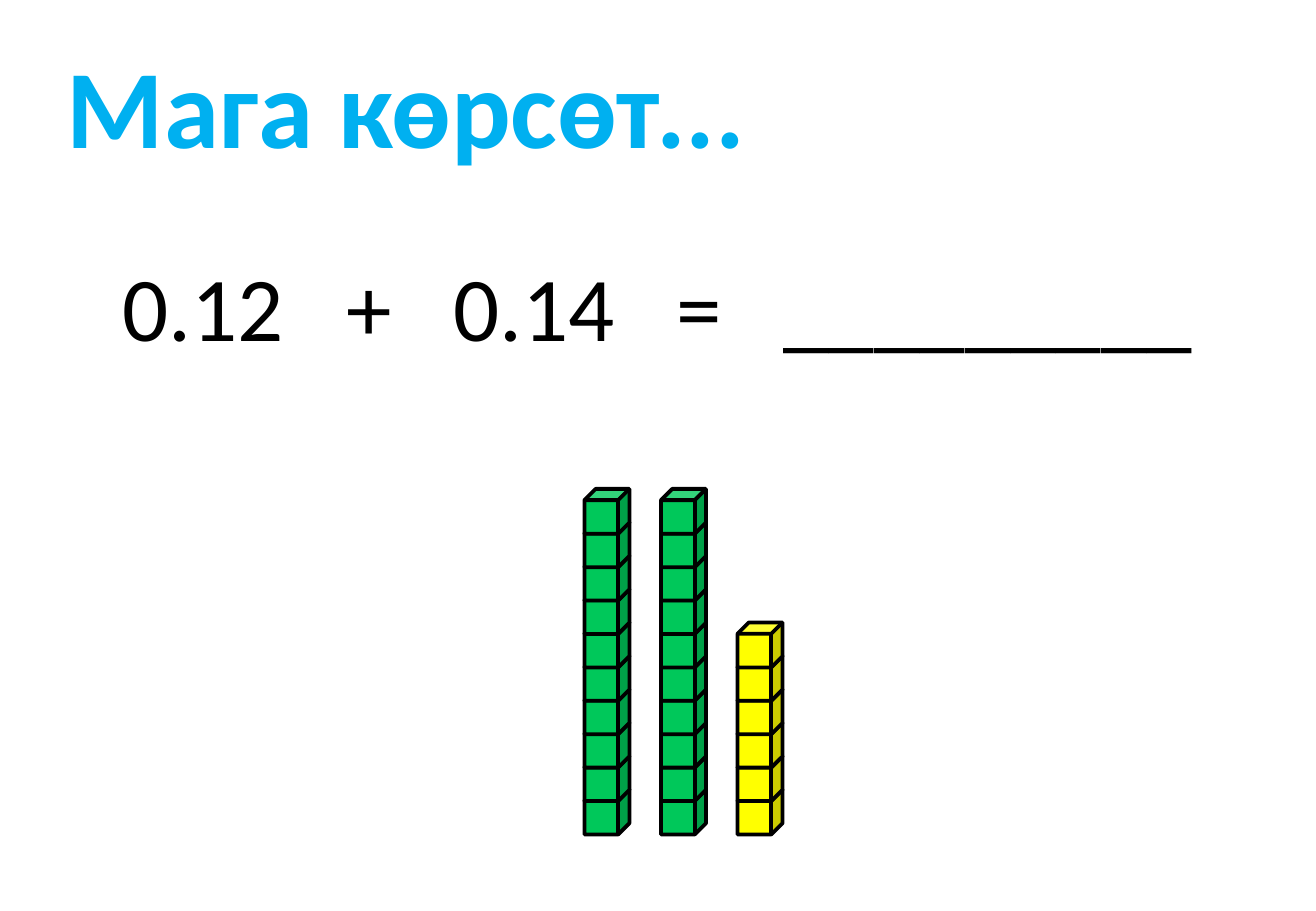
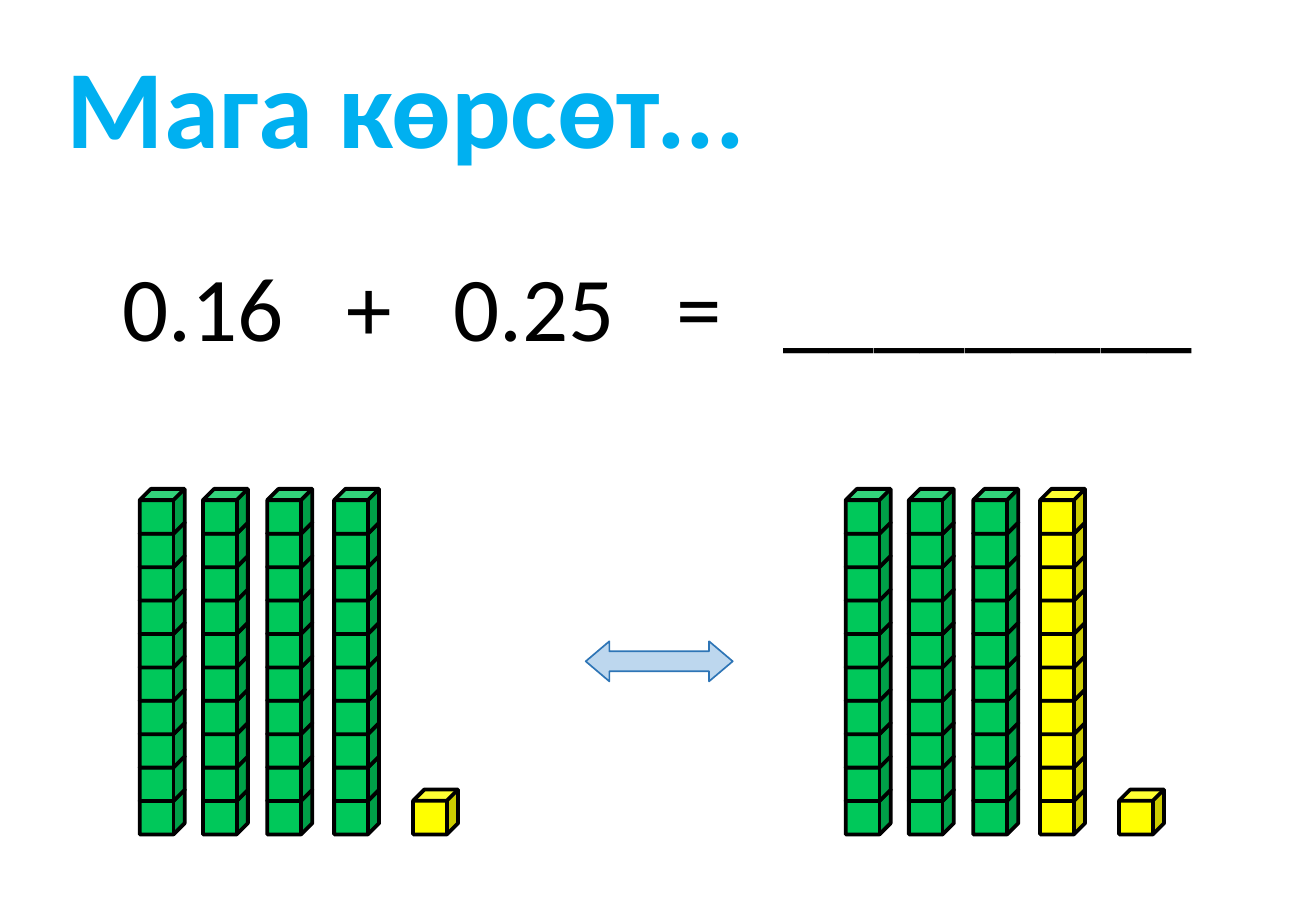
from dataclasses import dataclass

from lxml.etree import SubElement
from pptx import Presentation
from pptx.dml.color import RGBColor
from pptx.enum.shapes import MSO_SHAPE
from pptx.enum.text import MSO_ANCHOR, MSO_AUTO_SIZE, PP_ALIGN
from pptx.oxml.ns import qn
from pptx.shapes.autoshape import Shape
from pptx.slide import Slide
from pptx.util import Inches, Pt

FONT = "Calibri"
BLACK, SKY, GREEN, YELLOW = "000000", "00B0F0", "00C85A", "FFFF00"
ARROW_FILL, ARROW_LINE = "BDD7EE", "2E75B6"
CUBE, STEP, FLOOR = 0.37, 0.275, 6.5
TAB_STOPS = (1.84, 2.72, 4.56, 5.44)


@dataclass(frozen=True)
class Stick:
    """A column of stacked cubes."""

    left: float
    count: int
    color: str


@dataclass(frozen=True)
class Sum:
    """One addition exercise with its sticks."""

    terms: tuple[str, ...]
    sticks: tuple[Stick, ...]
    arrow: bool = False


def rgb(color: str) -> RGBColor:
    """Turn a hex string into a colour."""
    return RGBColor.from_string(color)


def paint(sp: Shape, fill: str, line: str, width: float) -> None:
    """Set fill and outline and drop the shadow."""
    sp.shadow.inherit = False
    sp.fill.solid()
    sp.fill.fore_color.rgb = rgb(fill)
    sp.line.color.rgb = rgb(line)
    sp.line.width = Pt(width)


def write(sp: Shape, text: str, size: float, color: str, bold: bool) -> None:
    """Write one left-aligned, unkerned paragraph at the top of a shape."""
    tf = sp.text_frame
    tf.text = text
    tf.word_wrap = True
    tf.auto_size = MSO_AUTO_SIZE.NONE
    tf.vertical_anchor = MSO_ANCHOR.TOP
    p = tf.paragraphs[0]
    p.alignment = PP_ALIGN.LEFT
    for r in p.runs:
        r.font.name, r.font.size, r.font.bold = FONT, Pt(size), bold
        r.font.color.rgb = rgb(color)
        r._r.get_or_add_rPr().set("kern", "0")


def add_title(s: Slide, text: str) -> None:
    """Place and format the title."""
    sp = s.shapes.title
    sp.left, sp.top = Inches(0.24), Inches(0.26)
    sp.width, sp.height = Inches(7.54), Inches(1.21)
    write(sp, text, 66, SKY, True)
    sp.text_frame.margin_left = Inches(0.31)


def add_equation(s: Slide, terms: tuple[str, ...]) -> None:
    """Write the terms of a sum at the tab stops."""
    sp = s.shapes.add_textbox(Inches(0.91), Inches(2.01), Inches(9.1), Inches(1.01))
    write(sp, "\t".join(terms), 54, BLACK, False)
    tabs = SubElement(sp.text_frame.paragraphs[0]._p.get_or_add_pPr(), qn("a:tabLst"))
    for stop in TAB_STOPS:
        SubElement(tabs, qn("a:tab"), pos=str(Inches(stop)), algn="l")


def add_stick(s: Slide, stick: Stick) -> None:
    """Stack cubes from the floor upwards in one group."""
    group = s.shapes.add_group_shape()
    for i in range(stick.count):
        top = FLOOR - i * STEP
        sp = group.shapes.add_shape(
            MSO_SHAPE.CUBE, Inches(stick.left), Inches(top), Inches(CUBE), Inches(CUBE)
        )
        paint(sp, stick.color, BLACK, 2.25)


def add_arrow(s: Slide) -> None:
    """Draw the double arrow between two equal amounts."""
    sp = s.shapes.add_shape(
        MSO_SHAPE.LEFT_RIGHT_ARROW, Inches(4.82), Inches(5.28), Inches(1.21), Inches(0.33)
    )
    sp.adjustments[0], sp.adjustments[1] = 0.5, 0.59
    paint(sp, ARROW_FILL, ARROW_LINE, 1)


def forty_one(left: float, fourth: str) -> tuple[Stick, ...]:
    """Show four tens and a single cube."""
    colors = (GREEN, GREEN, GREEN, fourth)
    tens = tuple(Stick(left + dx, 10, c) for dx, c in zip((0, 0.52, 1.05, 1.6), colors))
    return (*tens, Stick(left + 2.25, 1, YELLOW))


SUMS = (
    Sum(
        ("0.12", "+", "0.14", "=", "_________"),
        (Stick(4.81, 10, GREEN), Stick(5.44, 10, GREEN), Stick(6.07, 6, YELLOW)),
    ),
    Sum(
        ("0.16", "+", "0.25", "=", "_________"),
        forty_one(1.15, GREEN) + forty_one(6.96, YELLOW),
        arrow=True,
    ),
)


def main() -> None:
    """Build the presentation."""
    prs = Presentation()
    prs.slide_width, prs.slide_height = Inches(10.83), Inches(7.5)
    for exercise in SUMS:
        s = prs.slides.add_slide(prs.slide_layouts[5])
        add_title(s, "Мага көрсөт...")
        add_equation(s, exercise.terms)
        for stick in exercise.sticks:
            add_stick(s, stick)
        if exercise.arrow:
            add_arrow(s)
    prs.save("out.pptx")


if __name__ == "__main__":
    main()
